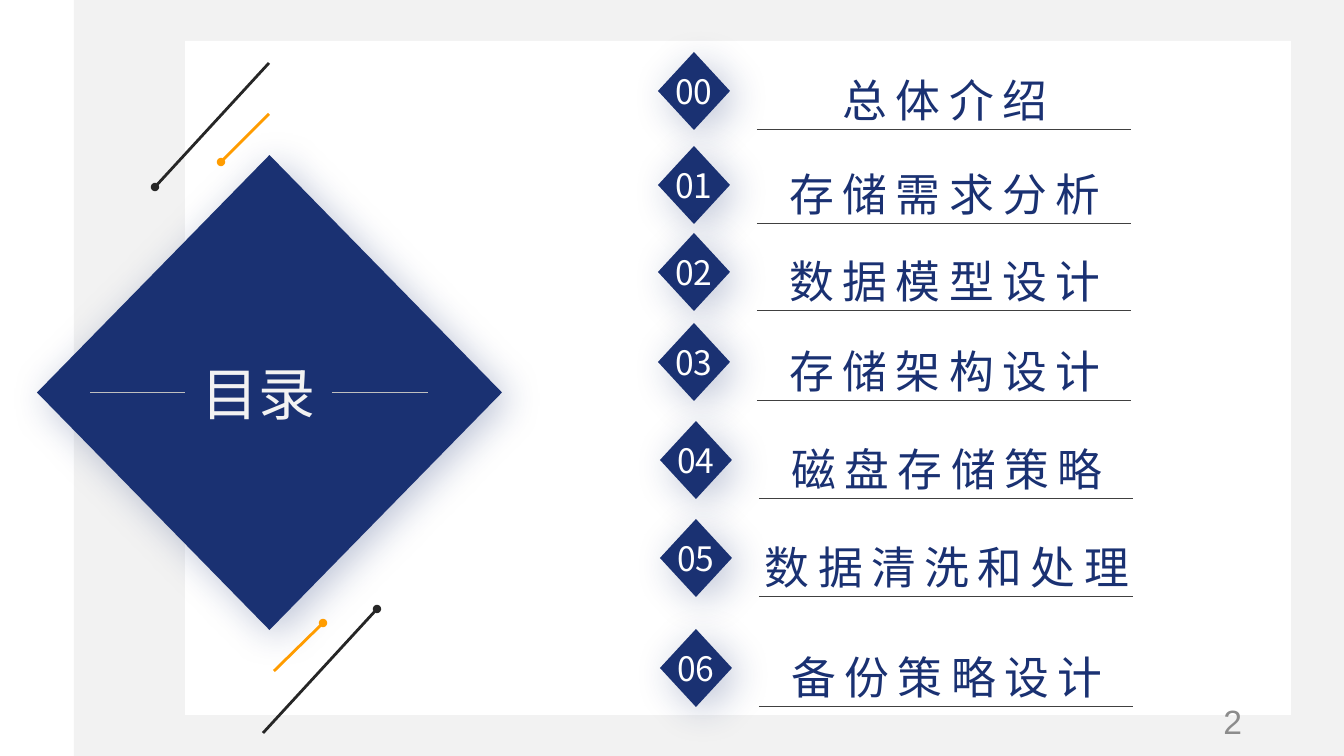
import pptx
import pptx.util
import pptx.dml.color
import pptx.enum.shapes
import pptx.enum.text
import pptx.oxml
import pptx.oxml.ns

COLORS = {
    "navy": "1A3172", "white": "FFFFFF", "pale": "F2F2F2", "rule": "404040",
    "silver": "BFBFBF", "black": "262626", "orange": "FF9C00", "gray": "8C8C8C",
}
CJK = "Noto Sans CJK SC"
HEADING = "目录"
PAGE_NUMBER = "2"
CHAPTERS = [
    ("00", "总体介绍", 658, 52),
    ("01", "存储需求分析", 658, 146),
    ("02", "数据模型设计", 658, 233),
    ("03", "存储架构设计", 658, 323),
    ("04", "磁盘存储策略", 660, 421),
    ("05", "数据清洗和处理", 660, 519),
    ("06", "备份策略设计", 660, 629),
]
PANELS = [
    ("white", (0, 0, 74, 756)),
    ("pale", (74, 0, 1270, 756)),
    ("white", (185, 41, 1106, 674)),
]
HEADING_RULES = [(185, 392, 90, 392), (332, 392, 428, 392)]
ACCENTS = [
    ("black", (269, 63, 155, 187), "tailEnd"),
    ("orange", (269, 114, 221, 162), "tailEnd"),
    ("black", (377, 609, 263, 733), "headEnd"),
    ("orange", (323, 623, 274, 671), "headEnd"),
]
PX = 914400 / 100.8
NS = pptx.oxml.ns.nsdecls("a")
ALIGN = pptx.enum.text.PP_ALIGN
MIDDLE = pptx.enum.text.MSO_ANCHOR.MIDDLE
SHAPES = pptx.enum.shapes.MSO_SHAPE


def emu(*lengths):
    return [pptx.util.Emu(round(length * PX)) for length in lengths]


def rgb(color):
    return pptx.dml.color.RGBColor.from_string(COLORS[color])


def add_block(slide, kind, box, color):
    block = slide.shapes.add_shape(kind, *emu(*box))
    block.shadow.inherit = False
    block.fill.solid()
    block.fill.fore_color.rgb = rgb(color)
    block.line.fill.background()
    return block


def add_diamond(slide, box):
    diamond = add_block(slide, SHAPES.DIAMOND, box, "navy")
    effects = diamond._element.spPr.find(pptx.oxml.ns.qn("a:effectLst"))
    effects.append(pptx.oxml.parse_xml(
        f'<a:outerShdw {NS} blurRad="355600" dist="88900" dir="2700000" algn="tl" '
        f'rotWithShape="0"><a:srgbClr val="{COLORS["navy"]}"><a:alpha val="27000"/>'
        '</a:srgbClr></a:outerShdw>'))
    return diamond


def add_line(slide, ends, color, width, dot=None):
    line = slide.shapes.add_connector(
        pptx.enum.shapes.MSO_CONNECTOR.STRAIGHT, *emu(*ends))
    line.line.color.rgb = rgb(color)
    line.line.width = pptx.util.Pt(width)
    if dot:
        line.line._get_or_add_ln().append(
            pptx.oxml.parse_xml(f'<a:{dot} {NS} type="oval"/>'))
    line._element.spPr.append(pptx.oxml.parse_xml(f"<a:effectLst {NS}/>"))


def write(shape, text, size, color, font, align=ALIGN.CENTER, anchor=MIDDLE,
          wrap=False, spacing=0):
    frame = shape.text_frame
    frame.text = text
    frame.word_wrap = wrap
    frame.auto_size = pptx.enum.text.MSO_AUTO_SIZE.NONE
    frame.vertical_anchor = anchor
    paragraph = frame.paragraphs[0]
    paragraph.alignment = align
    paragraph.font.size = pptx.util.Pt(size)
    paragraph.font.color.rgb = rgb(color)
    paragraph.font.name = font
    run_props = paragraph.runs[0]._r.get_or_add_rPr()
    run_props.append(pptx.oxml.parse_xml(f'<a:ea {NS} typeface="{CJK}"/>'))
    if spacing:
        run_props.set("spc", str(spacing * 100))
    return paragraph


def add_chapter(slide, number, name, left, top):
    write(add_diamond(slide, (left, top, 72, 78)), number, 24, "white", CJK)
    label = slide.shapes.add_textbox(*emu(left + 94, top - 11, 386, 76))
    paragraph = write(label, name, 32, "navy", CJK,
                      anchor=pptx.enum.text.MSO_ANCHOR.TOP, spacing=6)
    paragraph.line_spacing = 1.5
    base = top + 77
    add_line(slide, (left + 99, base, left + 473, base), "rule", 0.5)


def main():
    deck = pptx.Presentation()
    deck.slide_width, deck.slide_height = emu(1344, 756)
    slide = deck.slides.add_slide(deck.slide_layouts[5])
    slide.background.fill.solid()
    slide.background.fill.fore_color.rgb = rgb("pale")

    for color, box in PANELS:
        add_block(slide, SHAPES.RECTANGLE, box, color)

    add_diamond(slide, (37, 155, 465, 475))
    heading = slide.shapes.title
    heading.left, heading.top, heading.width, heading.height = emu(185, 357, 147, 72)
    write(heading, HEADING, 40.7, "pale", "Arial")
    slide.shapes._spTree.append(heading._element)
    for ends in HEADING_RULES:
        add_line(slide, ends, "silver", 0.5)
    for color, ends, dot in ACCENTS:
        add_line(slide, ends, color, 2, dot)

    for chapter in CHAPTERS:
        add_chapter(slide, *chapter)

    page = slide.shapes.add_textbox(*emu(950, 701, 302, 40))
    write(page, PAGE_NUMBER, 24, "gray", "Arial", align=ALIGN.RIGHT, wrap=True)
    deck.save("out.pptx")


if __name__ == "__main__":
    main()
